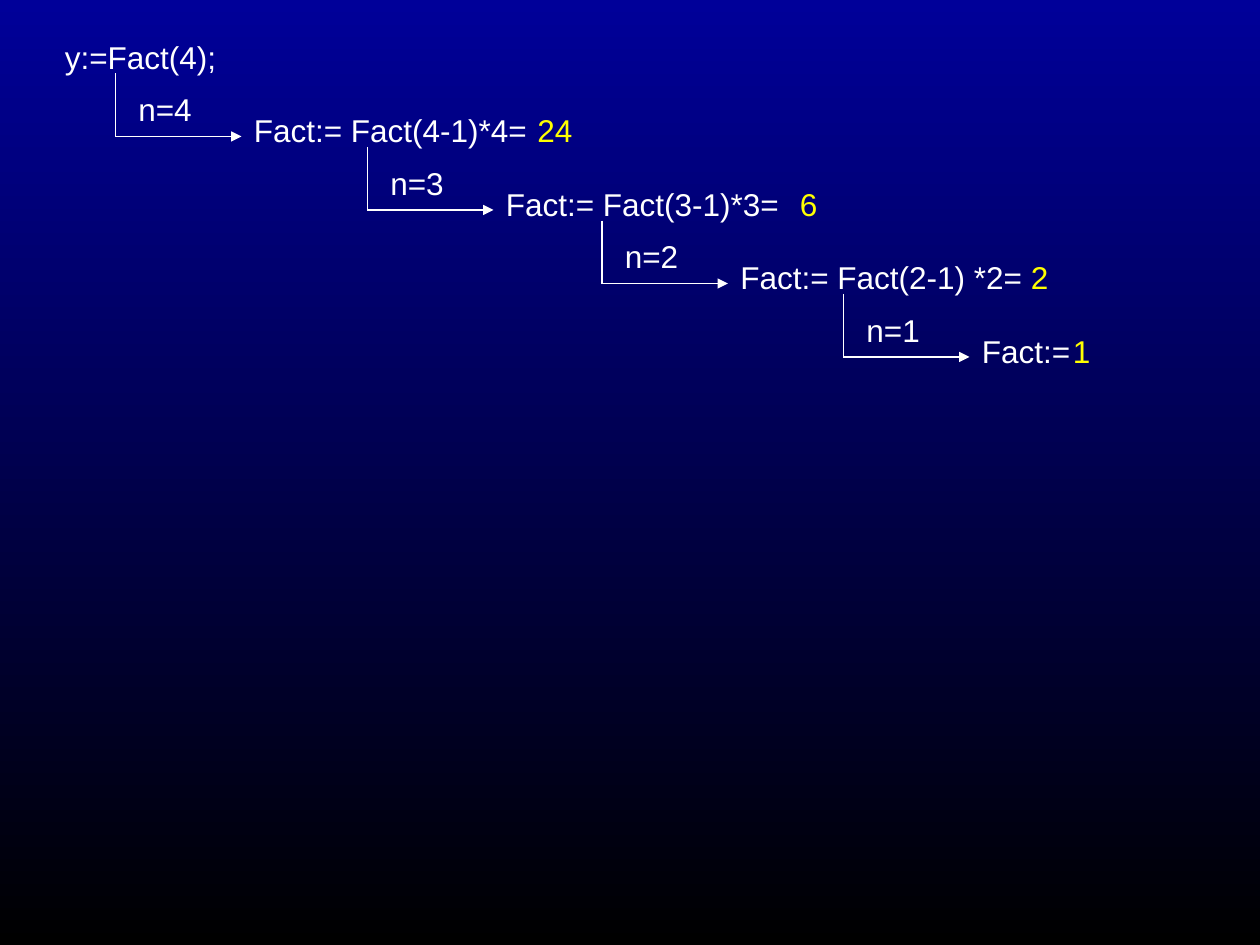
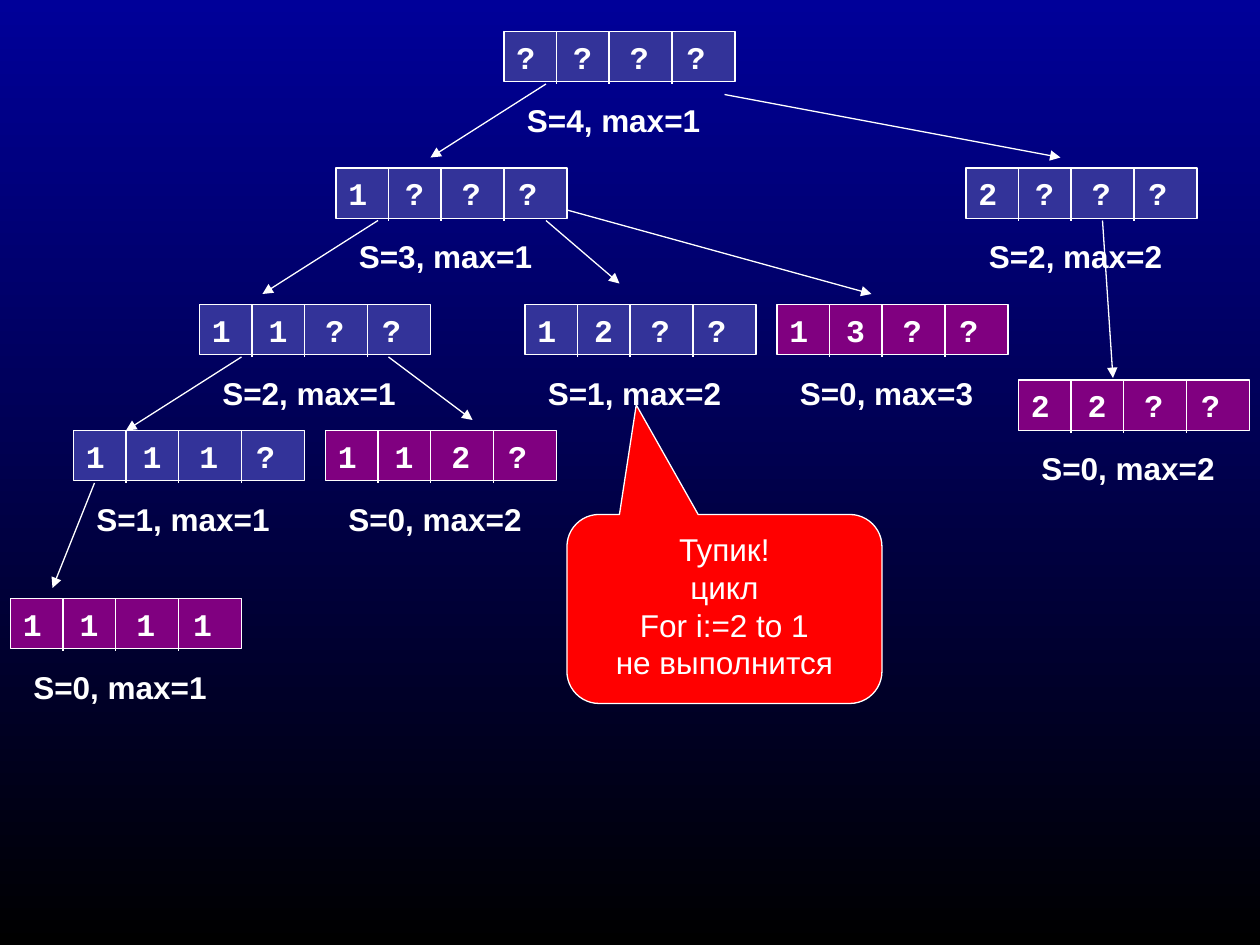
from dataclasses import dataclass

from lxml.etree import SubElement
from pptx import Presentation
from pptx.dml.color import RGBColor
from pptx.enum.shapes import MSO_CONNECTOR as Connectors, MSO_SHAPE as Shapes
from pptx.enum.text import MSO_ANCHOR as Anchor, PP_ALIGN as Align
from pptx.oxml.ns import qn
from pptx.shapes.autoshape import Shape
from pptx.shapes.shapetree import GroupShapes, SlideShapes
from pptx.slide import SlideMaster
from pptx.util import Pt

Canvas = SlideShapes | GroupShapes
Point = tuple[float, float]

WHITE, YELLOW = "FFFFFF", "FFFF00"
OPEN_CELLS, FINISHED_CELLS, DEAD_END = "333399", "800080", "FF0000"
SKY_TOP, SKY_BOTTOM = "000099", "000000"

BODY = {"name": "Arial", "size": Pt(18), "bold": False}
BOLD = {**BODY, "bold": True}
CODE = {**BOLD, "name": "Courier New"}

TEXT_HEIGHT = 28.8
CALL_STEP = 42
CALL_WIDTH = 178
DIVIDERS = (30, 60, 96)
CELL_PITCH = 32.4
CELL_TABS = [CELL_PITCH * i for i in (1, 2, 3)]


@dataclass(frozen=True)
class Call:
    """One level of the recursion, with the elbow that leads to the next one."""

    text: str
    left: float
    width: float
    result: str = ""
    result_left: float = 0
    result_width: float = 0
    argument: str = ""
    elbow_left: float = 0


@dataclass(frozen=True)
class Node:
    """One state of the search: four cells and the remaining sum."""

    left: float
    top: float
    cells: str
    rest: int
    largest: int


CALLS = [
    Call("y:=Fact(4);", 30, 106, argument="n=4", elbow_left=66),
    Call("Fact:= Fact(4-1)*4=", 138, CALL_WIDTH, "24", 300, 42, "n=3", 210),
    Call("Fact:= Fact(3-1)*3=", 282, CALL_WIDTH, "6", 450, 30, "n=2", 344),
    Call("Fact:= Fact(2-1) *2=", 416, CALL_WIDTH, "2", 582, 24, "n=1", 482),
    Call("Fact:=", 554, 70, "1", 606, 24),
]

NODES = [
    Node(288, 18, "????", 4, 1),
    Node(192, 96, "1???", 3, 1),
    Node(114, 174, "11??", 2, 1),
    Node(42, 246, "111?", 1, 1),
    Node(6, 342, "1111", 0, 1),
    Node(186, 246, "112?", 0, 2),
    Node(300, 174, "12??", 1, 2),
    Node(444, 174, "13??", 0, 3),
    Node(552, 96, "2???", 2, 2),
    Node(582, 217.2, "22??", 0, 2),
]

BRANCHES: list[tuple[Point, Point]] = [
    ((312, 48), (246, 90)),
    ((216, 126), (150, 168)),
    ((138, 204), (72, 246)),
    ((54, 276), (30, 336)),
    ((222, 204), (270, 240)),
    ((312, 126), (354, 162)),
    ((324, 120), (498, 168)),
    ((414, 54), (606, 90)),
    ((630, 126), (636, 216)),
]


def rgb(value: str) -> RGBColor:
    """Turn a hex string into a colour."""
    return RGBColor.from_string(value)


def write(shape: Shape, text: str, style: dict, color: str = WHITE,
          align: Align = Align.LEFT, tabs: list[float] | None = None) -> None:
    """Fill a shape with formatted paragraphs, one per line of text."""
    frame = shape.text_frame
    frame.word_wrap = True
    frame.vertical_anchor = Anchor.TOP
    frame.text = text
    for paragraph in frame.paragraphs:
        paragraph.alignment = align
        font = paragraph.runs[0].font
        for key, value in style.items():
            setattr(font, key, value)
        font.color.rgb = rgb(color)
        if tabs:
            stops = SubElement(paragraph._p.get_or_add_pPr(), qn("a:tabLst"))
            for position in tabs:
                SubElement(stops, qn("a:tab"), pos=str(Pt(position)), algn="l")


def add_label(canvas: Canvas, left: float, top: float, width: float, text: str,
              style: dict = BODY, color: str = WHITE) -> None:
    """Add a single line of text."""
    box = canvas.add_textbox(Pt(left), Pt(top), Pt(width), Pt(TEXT_HEIGHT))
    write(box, text, style, color)


def add_line(canvas: Canvas, start: Point, end: Point, arrow: bool = False) -> None:
    """Add a thin white line, with an arrowhead at its end if asked."""
    line = canvas.add_connector(Connectors.STRAIGHT, *map(Pt, start + end))
    line.line.color.rgb = rgb(WHITE)
    line.line.width = Pt(0.75)
    properties = line.element.find(qn("p:spPr"))
    if arrow:
        SubElement(properties.find(qn("a:ln")), qn("a:tailEnd"), type="triangle")
    SubElement(properties, qn("a:effectLst"))


def add_panel(canvas: Canvas, kind: Shapes, left: float, top: float,
              width: float, height: float, fill: str) -> Shape:
    """Add a filled shape with a thin white outline."""
    panel = canvas.add_shape(kind, Pt(left), Pt(top), Pt(width), Pt(height))
    panel.shadow.inherit = False
    panel.fill.solid()
    panel.fill.fore_color.rgb = rgb(fill)
    panel.line.color.rgb = rgb(WHITE)
    panel.line.width = Pt(0.75)
    return panel


def add_call(shapes: SlideShapes, call: Call, top: float) -> None:
    """Draw a call, its result and the elbow down to the next call."""
    add_label(shapes, call.left, top, call.width, call.text)
    if call.result:
        add_label(shapes, call.result_left, top, call.result_width, call.result, color=YELLOW)
    if call.argument:
        elbow = shapes.add_group_shape().shapes
        left = call.elbow_left
        corner = (left, top + 60)
        add_line(elbow, (left, top + 24), corner)
        add_line(elbow, corner, (left + 72, top + 60), arrow=True)
        add_label(elbow, left + 6, top + 30, 72, call.argument)


def add_node(shapes: SlideShapes, node: Node) -> None:
    """Draw a state as a divided row of cells with its sum below."""
    group = shapes.add_group_shape().shapes
    fill = OPEN_CELLS if node.rest else FINISHED_CELLS
    row = add_panel(group, Shapes.RECTANGLE, node.left, node.top, 132, TEXT_HEIGHT, fill)
    write(row, "\t".join(node.cells), CODE, tabs=CELL_TABS)
    for offset in DIVIDERS:
        x = node.left + offset
        add_line(group, (x, node.top), (x, node.top + 30))
    add_label(group, node.left + 6, node.top + 36, 132,
              f"S={node.rest}, max={node.largest}", BOLD)


def add_dead_end(shapes: SlideShapes) -> None:
    """Draw the callout that explains the dead end."""
    callout = add_panel(shapes, Shapes.ROUNDED_RECTANGULAR_CALLOUT, 324, 294, 180, 108, DEAD_END)
    for index, value in enumerate((-0.28, -1.08, 0.17)):
        callout.adjustments[index] = value
    write(callout, "Тупик!\nцикл\nFor i:=2 to 1\nне выполнится", BODY, align=Align.CENTER)


def paint_background(master: SlideMaster) -> None:
    """Give every slide the vertical gradient."""
    fill = master.background.fill
    fill.gradient()
    fill.gradient_angle = 270
    for stop, color in zip(fill.gradient_stops, (SKY_TOP, SKY_BOTTOM)):
        stop.color.rgb = rgb(color)


def main() -> None:
    """Build both slides and save them."""
    deck = Presentation()
    deck.slide_width, deck.slide_height = Pt(720), Pt(540)
    paint_background(deck.slide_master)
    blank = deck.slide_layouts[6]

    recursion = deck.slides.add_slide(blank).shapes
    for level, call in enumerate(CALLS):
        add_call(recursion, call, 18 + level * CALL_STEP)

    search_tree = deck.slides.add_slide(blank).shapes
    for node in NODES:
        add_node(search_tree, node)
    for start, end in BRANCHES:
        add_line(search_tree, start, end, arrow=True)
    add_dead_end(search_tree)

    deck.save("out.pptx")


if __name__ == "__main__":
    main()
